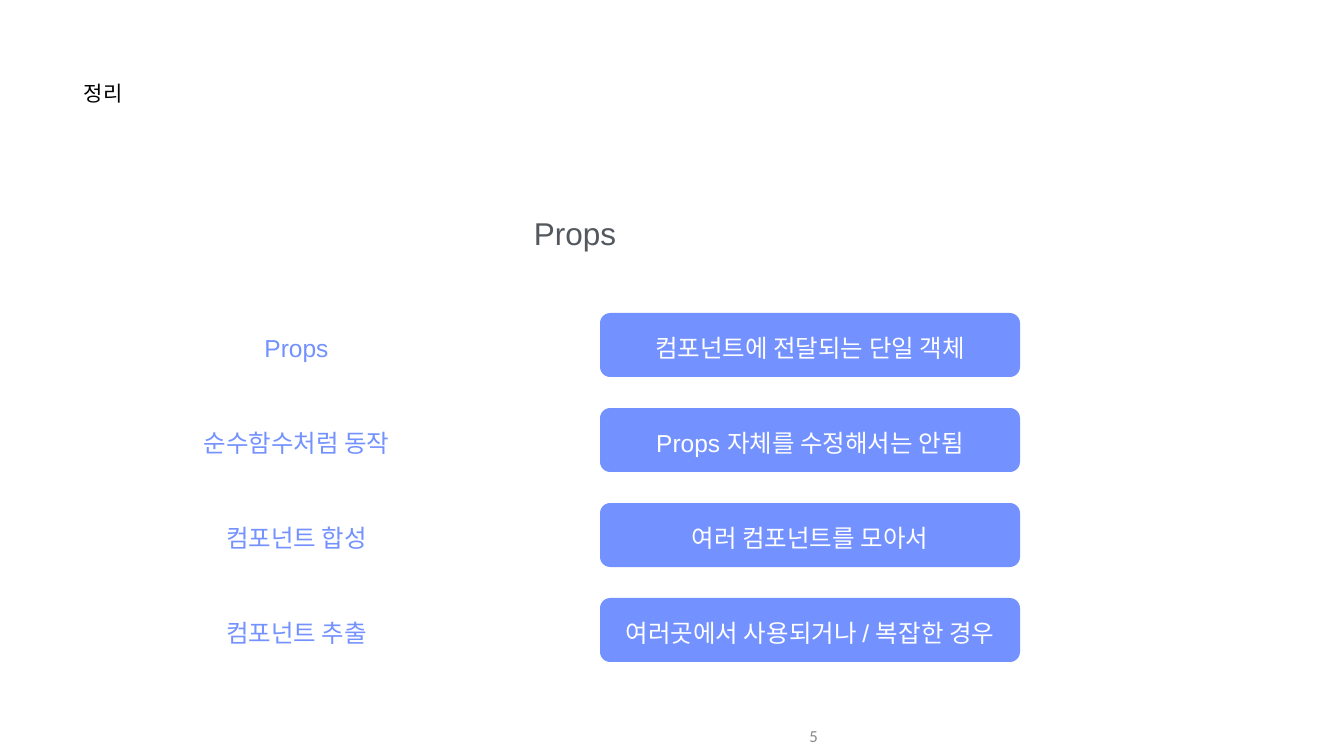
"""Build the Props summary slide: a heading and four term and meaning rows."""
from dataclasses import dataclass

from pptx import Presentation
from pptx.dml.color import RGBColor
from pptx.enum.shapes import MSO_SHAPE
from pptx.enum.text import MSO_ANCHOR, PP_ALIGN
from pptx.util import Emu, Pt

ROUNDED = MSO_SHAPE.ROUNDED_RECTANGLE
TOP, MIDDLE = MSO_ANCHOR.TOP, MSO_ANCHOR.MIDDLE
LEFT, CENTER, RIGHT = PP_ALIGN.LEFT, PP_ALIGN.CENTER, PP_ALIGN.RIGHT

TITLE = "정리"
HEADING = "Props"
PAGE = "5"
ROWS = [
    ("Props", "컴포넌트에 전달되는 단일 객체"),
    ("순수함수처럼 동작", "Props 자체를 수정해서는 안됨"),
    ("컴포넌트 합성", "여러 컴포넌트를 모아서"),
    ("컴포넌트 추출", "여러곳에서 사용되거나 / 복잡한 경우"),
]

ROW_TOP, ROW_PITCH, ROW_H = 313, 95, 64
TERM_X, TERM_W = 139, 315
PILL_X, PILL_W = 600, 420
TEXT_DROP = 6


@dataclass(frozen=True)
class Theme:
    accent: str = "7391FF"
    on_accent: str = "FFFFFF"
    title: str = "000000"
    heading: str = "53585F"
    muted: str = "888888"
    font: str = "Arial"
    page_font: str = "Calibri"
    title_pt: int = 30
    heading_pt: int = 45
    row_pt: int = 35
    page_pt: int = 24


THEME = Theme()


def px(n):
    return Emu(round(n * 914400 / 50.4))


def write(sp, text, size, color, align=CENTER, anchor=MIDDLE, font=THEME.font, drop=0):
    tf = sp.text_frame
    tf.word_wrap = True
    tf.vertical_anchor = anchor
    tf.margin_left = tf.margin_right = tf.margin_bottom = 0
    tf.margin_top = px(drop)
    tf.text = text
    p = tf.paragraphs[0]
    p.alignment = align
    r = p.runs[0]
    r.font.name = font
    r.font.size = Pt(size)
    r.font.color.rgb = RGBColor.from_string(color)


def add_text(s, box, *args, **kwargs):
    write(s.shapes.add_textbox(*map(px, box)), *args, **kwargs)


def add_pill(s, box, text):
    sp = s.shapes.add_shape(ROUNDED, *map(px, box))
    sp.adjustments[0] = 0.16
    sp.shadow.inherit = False
    sp.fill.solid()
    sp.fill.fore_color.rgb = RGBColor.from_string(THEME.accent)
    sp.line.fill.background()
    write(sp, text, THEME.row_pt, THEME.on_accent, drop=TEXT_DROP)


def main():
    prs = Presentation()
    prs.slide_width, prs.slide_height = px(1344), px(756)
    s = prs.slides.add_slide(prs.slide_layouts[6])

    add_text(s, (84, 81, 245, 59), TITLE, THEME.title_pt, THEME.title, LEFT, TOP)
    add_text(s, (133, 214, 884, 40), HEADING, THEME.heading_pt, THEME.heading, anchor=TOP)
    add_text(s, (521, 716, 297, 40), PAGE, THEME.page_pt, THEME.muted, RIGHT,
             font=THEME.page_font)

    for i, (term, meaning) in enumerate(ROWS):
        y = ROW_TOP + i * ROW_PITCH
        add_text(s, (TERM_X, y, TERM_W, ROW_H), term, THEME.row_pt, THEME.accent,
                 drop=TEXT_DROP)
        add_pill(s, (PILL_X, y, PILL_W, ROW_H), meaning)

    prs.save("out.pptx")


if __name__ == "__main__":
    main()
